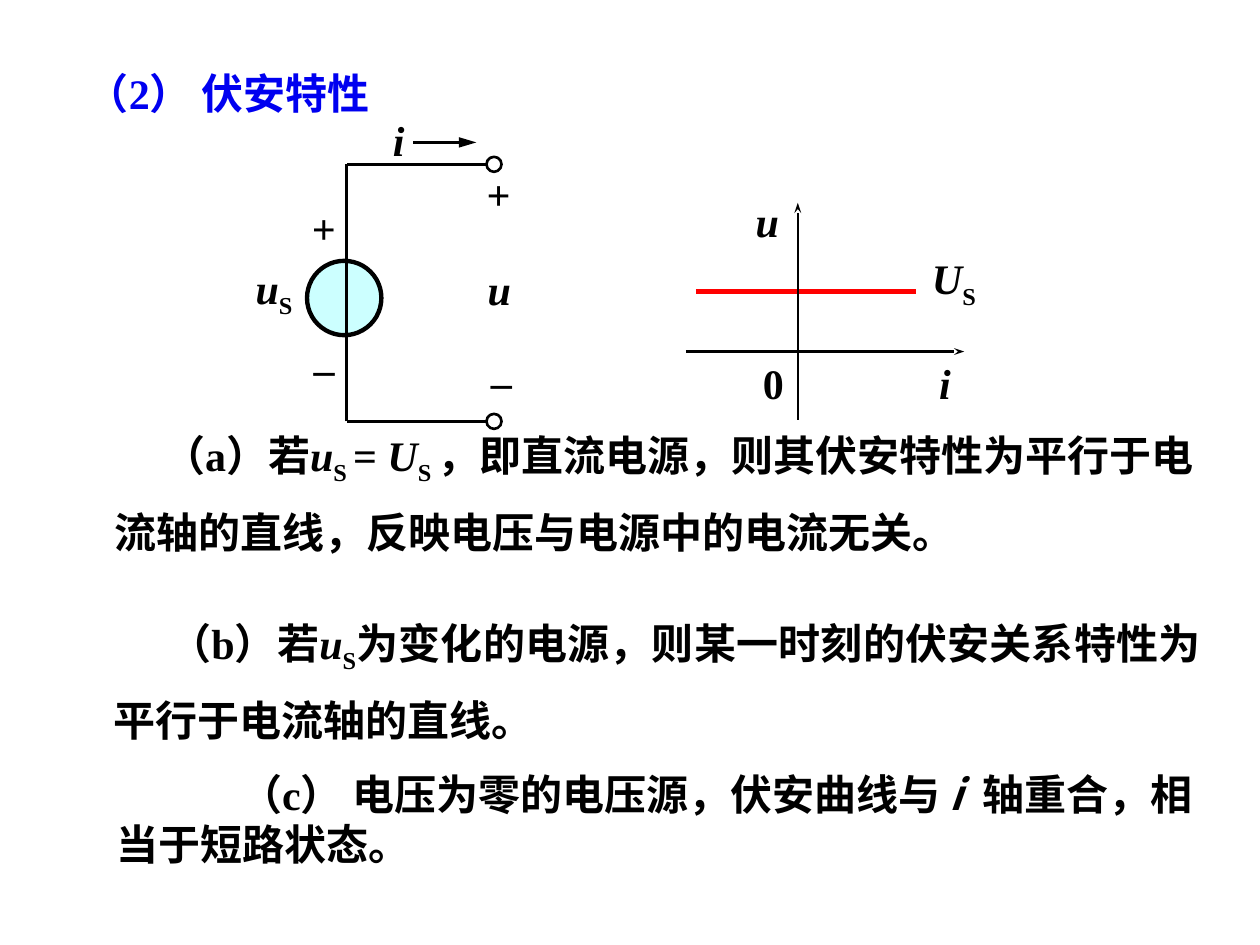
from lxml import etree
from pptx import Presentation
from pptx.dml.color import RGBColor
from pptx.enum import shapes, text
from pptx.oxml.ns import qn
from pptx.util import Pt

BLACK = RGBColor(0, 0, 0)
BLUE = RGBColor(0, 0, 0xF0)
RED = RGBColor(0xFF, 0, 0)
CYAN = RGBColor(0xCC, 0xFF, 0xFF)
SERIF = "Times New Roman"
SANS = "Noto Sans CJK SC"
LEFT, MID, JUST = text.PP_ALIGN.LEFT, text.PP_ALIGN.CENTER, text.PP_ALIGN.JUSTIFY
DART = {"type": "triangle", "w": "med", "len": "lg"}
BARB = {"type": "stealth", "w": "sm", "len": "med"}


def write(slide, box, runs, align=MID, wrap=False, color=BLACK, turn=0, margin=0, indent=0, lead=1):
    """Place bold text; run styles are i (italic), s (sub), n (sans) and w (wide)."""
    shape = slide.shapes.add_textbox(*map(Pt, box))
    shape.rotation = turn
    frame = shape.text_frame
    frame.word_wrap = wrap
    frame.vertical_anchor = text.MSO_ANCHOR.MIDDLE
    para = frame.paragraphs[0]
    para.alignment, para.line_spacing = align, lead
    props = para._p.get_or_add_pPr()
    props.set("marL", str(Pt(margin)))
    props.set("indent", str(Pt(indent)))
    for words, style in runs:
        run = para.add_run()
        run.text = words
        form = {"name": SANS if "n" in style else SERIF, "size": Pt(24),
                "bold": True, "italic": "i" in style}
        for key, value in form.items():
            setattr(run.font, key, value)
        run.font.color.rgb = color
        if "s" in style:
            run.font._element.set("baseline", "-25000")
        if "w" in style:
            run.font._element.set("spc", "290")


def line(slide, start, end, color=BLACK, width=1.5, head=None):
    """Draw a straight line, with an arrowhead at its end if one is given."""
    wire = slide.shapes.add_connector(shapes.MSO_CONNECTOR.STRAIGHT, *map(Pt, start + end))
    wire.line.color.rgb, wire.line.width = color, Pt(width)
    if head:
        etree.SubElement(wire.line._get_or_add_ln(), qn("a:tailEnd"), head)
    etree.SubElement(wire._element.spPr, qn("a:effectLst"))


def ring(slide, x, y, size, width, fill=None):
    """Draw a circle centred on a point."""
    shape = slide.shapes.add_shape(
        shapes.MSO_SHAPE.OVAL, Pt(x - size / 2), Pt(y - size / 2), Pt(size), Pt(size))
    shape.shadow.inherit = False
    if fill is None:
        shape.fill.background()
    else:
        shape.fill.solid()
        shape.fill.fore_color.rgb = fill
    shape.line.color.rgb, shape.line.width = BLACK, Pt(width)


def label(slide, x, y, spots):
    """Place labels given as (dx, dy, width, runs, turn) from a corner."""
    for dx, dy, wide, runs, turn in spots:
        write(slide, (x + dx, y + dy, wide, 36), runs, turn=turn)


def circuit(slide, x, y):
    """Draw the voltage source with its two terminals."""
    left, right, top, low = x + 60, x + 140, y + 31.9, y + 178.8
    ring(slide, x + 58.7, y + 108.3, 42.5, 2.5, CYAN)
    line(slide, (x + 98.2, y + 19.4), (x + 134.2, y + 19.4), head=DART)
    line(slide, (left, low), (left, top))
    for level in (low, top):
        line(slide, (right, level), (left, level))
        ring(slide, right + 4.3, level, 8.6, 1.5)
    label(slide, x, y, [
        (0.2, 86.3, 36.7, [("u", "i"), ("S", "s")], 0),
        (33.1, 53.2, 28, [("+", "")], 180),
        (34.1, 121.9, 24.5, [("_", "")], 0),
        (79.4, 0, 20.9, [("i", "i")], 0),
        (133.4, 84.9, 28, [("u", "i")], 0),
        (132.9, 33.8, 28, [("+", "")], 180),
        (135.4, 129.5, 24.5, [("_", "")], 0)])


def graph(slide, x, y):
    """Draw the axes and the constant voltage line."""
    line(slide, (x + 5.7, y + 58.5), (x + 131.4, y + 58.5), RED, 2.5)
    line(slide, (x, y + 92.9), (x + 159, y + 92.9), head=BARB)
    line(slide, (x + 63.9, y + 131.8), (x + 63.9, y + 7.9), head=BARB)
    label(slide, x, y, [
        (132.6, 34.8, 41, [("U", "i"), ("S", "s")], 0),
        (32.4, 0.2, 28, [("u", "i")], 0),
        (137.5, 92.9, 20.9, [("i", "i")], 0),
        (36.7, 92.9, 26.6, [("0", "")], 0)])


def notes(slide, x, y):
    """Place the three cases below the drawings."""
    write(slide, (x + 3.9, y, 673.2, 87.8), [
        ("（a）若", ""), ("u", "i"), ("S ", "s"), ("= ", ""), ("U", "i"), ("S ", "s"),
        ("，即直流电源，则其伏安特性为平行于电流轴的直线，反映电压与电源中的电流无关。", "")],
        LEFT, True, margin=37.4, indent=27.5, lead=1.4)
    write(slide, (x + 2.9, y + 107.4, 673.2, 87.8), [
        ("（b）若", ""), ("u", "i"), ("S", "s"),
        ("为变化的电源，则某一时刻的伏安关系特性为平行于电流轴的直线", ""), ("。", "n")],
        JUST, True, margin=37.4, indent=31.9, lead=1.4)
    write(slide, (x, y + 203.6, 683.3, 65.5), [
        ("（c） ", ""), ("电压为零的电压源，伏安曲线与 ", "n"), ("i ", "niw"),
        ("轴重合，相当于短路状态。", "n")],
        LEFT, True, margin=42.2, indent=70.6)


def main():
    """Build and save the slide."""
    deck = Presentation()
    deck.slide_width, deck.slide_height = Pt(720), Pt(540)
    slide = deck.slides.add_slide(deck.slide_layouts[6])
    write(slide, (22.7, 35.1, 215.3, 36), [("（2） 伏安特性", "")], wrap=True, color=BLUE)
    circuit(slide, 138, 62)
    graph(slide, 392, 108)
    notes(slide, 17.3, 231.5)
    deck.save("out.pptx")


if __name__ == "__main__":
    main()
